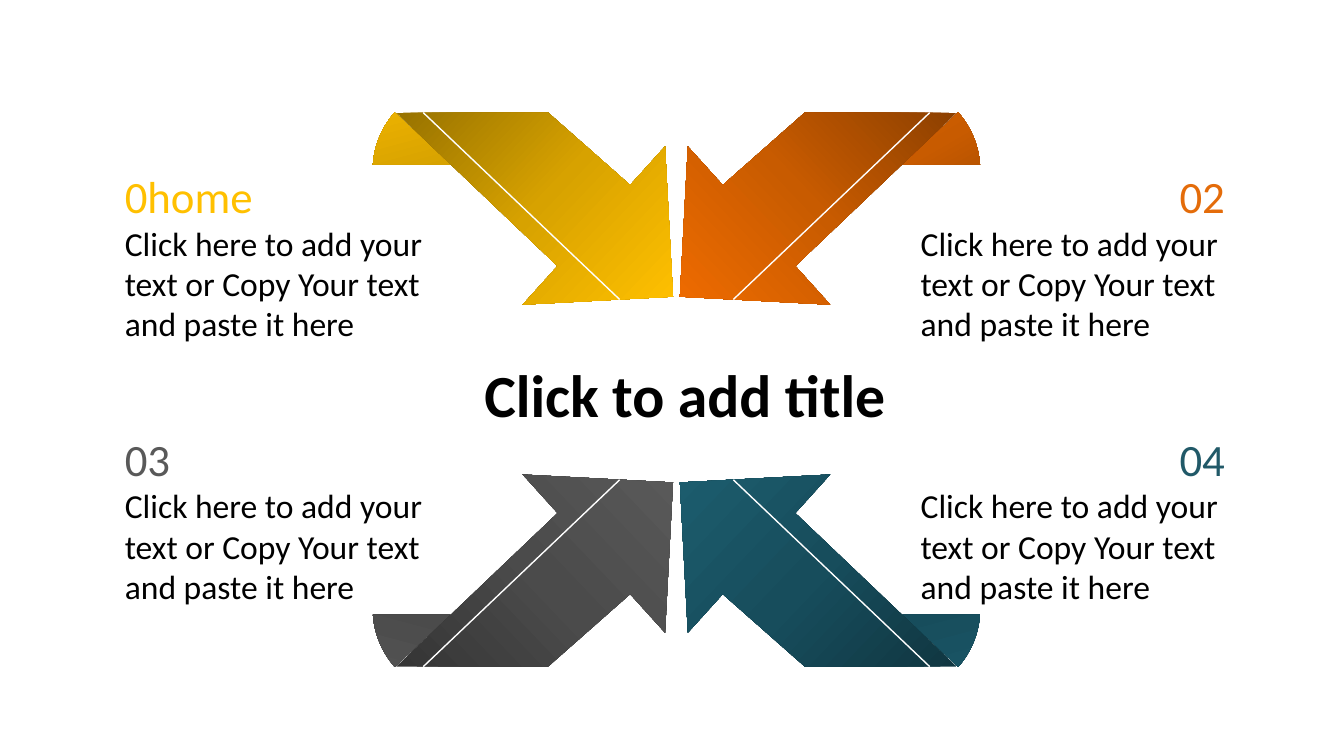
from copy import deepcopy
from math import atan2, degrees

from lxml.etree import SubElement
from pptx import Presentation
from pptx.dml.color import RGBColor
from pptx.enum.shapes import MSO_CONNECTOR as Connector, MSO_SHAPE as Shape
from pptx.enum.text import MSO_ANCHOR as Anchor, PP_ALIGN as Align
from pptx.oxml.ns import qn
from pptx.util import Cm, Pt

FONT = "Calibri"
BLACK = RGBColor(0x00, 0x00, 0x00)
WHITE = RGBColor(0xFF, 0xFF, 0xFF)
YELLOW = RGBColor(0xFF, 0xC0, 0x00)
ORANGE = RGBColor(0xE4, 0x6C, 0x0A)
GREY = RGBColor(0x59, 0x59, 0x59)
TEAL = RGBColor(0x21, 0x59, 0x68)
YELLOW_SHADES = RGBColor(0x97, 0x72, 0x00), RGBColor(0xD7, 0xA2, 0x00), YELLOW
ORANGE_SHADES = RGBColor(0x8D, 0x40, 0x00), RGBColor(0xC8, 0x5B, 0x00), RGBColor(0xEE, 0x6B, 0x00)
GREY_SHADES = RGBColor(0x35, 0x35, 0x35), RGBColor(0x4B, 0x4B, 0x4B), GREY
TEAL_SHADES = RGBColor(0x10, 0x36, 0x41), RGBColor(0x17, 0x4D, 0x5C), RGBColor(0x1C, 0x5C, 0x6D)

ARROW_WIDTH, ARROW_HEIGHT = 5.23, 3.63
ARROW_POINTS = [(0, 0), (2.87, 0), (4.42, 1.37), (5.08, 0.64), (5.23, 3.48), (2.39, 3.63), (3.05, 2.9)]
CREASE = [(0.51, 0), (4.22, 3.53)]
CURL_CENTER = 1.02, 0.98
CURL_WIDTH, CURL_HEIGHT = 3.1, 2.87
CURL_ANGLES = 143.91, 169.9
BODY_LINES = ["Click here to add your", "text or Copy Your text", "and paste it here"]

ARROWS = [
    (7.49, 2.13, False, False, YELLOW_SHADES, 45),
    (12.85, 2.13, True, False, ORANGE_SHADES, 0),
    (7.49, 8.97, False, True, GREY_SHADES, 45),
    (12.85, 8.97, True, True, TEAL_SHADES, 45),
]
CAPTIONS = [
    (2.11, 3.07, "0home", YELLOW, Align.LEFT),
    (17.15, 3.07, "02", ORANGE, Align.RIGHT),
    (2.11, 8.03, "03", GREY, Align.LEFT),
    (17.15, 8.03, "04", TEAL, Align.RIGHT),
]


def shade(shape, colors, angle):
    """Fill a shape with an even gradient and remove its outline and shadow."""
    shape.shadow.inherit = False
    shape.line.fill.background()
    shape.fill.gradient()
    stop_list = shape.element.spPr.find(".//" + qn("a:gsLst"))
    stop_list.append(deepcopy(stop_list[0]))
    for index, (stop, color) in enumerate(zip(shape.fill.gradient_stops, colors)):
        stop.color.rgb = color
        stop.position = index / 2
    shape.fill.gradient_angle = angle


def add_arrow(page, left, top, flip_x, flip_y, colors, curl_angle):
    """Draw one folded arrow in its box, mirrored as asked."""

    def place(point):
        """Turn a point of the upper left arrow into a slide position."""
        x, y = point
        return (
            Cm(left + (ARROW_WIDTH - x if flip_x else x)),
            Cm(top + (ARROW_HEIGHT - y if flip_y else y)),
        )

    center_x, center_y = place(CURL_CENTER)
    width, height = Cm(CURL_WIDTH), Cm(CURL_HEIGHT)
    curl = page.shapes.add_shape(Shape.PIE, center_x - width // 2, center_y - height // 2, width, height)
    curl.adjustments[0], curl.adjustments[1] = CURL_ANGLES
    curl.rotation = 300 if flip_x == flip_y else 60
    for name, flipped in (("flipH", flip_x), ("flipV", flip_y)):
        if flipped:
            curl.element.spPr.xfrm.set(name, "1")
    shade(curl, colors, curl_angle)

    start, *corners = [place(point) for point in ARROW_POINTS]
    builder = page.shapes.build_freeform(*start)
    builder.add_line_segments(corners, close=True)
    (tail_x, tail_y), (tip_x, tip_y) = [place(point) for point in CREASE]
    direction = degrees(atan2(tail_y - tip_y, tip_x - tail_x)) % 360
    shade(builder.convert_to_shape(), colors, round(direction, 1))

    crease = page.shapes.add_connector(Connector.STRAIGHT, tail_x, tail_y, tip_x, tip_y)
    crease.line.color.rgb = WHITE
    crease.line.width = Pt(0.75)
    SubElement(crease.element.spPr, qn("a:effectLst"))


def add_span(para, text, size, color, bold=False):
    """Add one formatted run to a paragraph."""
    span = para.add_run()
    span.text = text
    span.font.name = FONT
    span.font.size = Pt(size)
    span.font.bold = bold
    span.font.color.rgb = color


def add_caption(page, left, top, number, color, align):
    """Place a coloured number above its three lines of text."""
    frame = page.shapes.add_textbox(Cm(left), Cm(top), Cm(6.25), Cm(3.58)).text_frame
    frame.word_wrap = True
    heading = frame.paragraphs[0]
    heading.alignment = align
    add_span(heading, number, 24, color)
    for line in BODY_LINES:
        add_span(frame.add_paragraph(), line, 18, BLACK)


def add_title(page, left, top, width, height):
    """Move the title placeholder to the middle and write the title."""
    box = page.shapes.title
    box.left, box.top, box.width, box.height = Cm(left), Cm(top), Cm(width), Cm(height)
    frame = box.text_frame
    frame.word_wrap = False
    frame.vertical_anchor = Anchor.MIDDLE
    para = frame.paragraphs[0]
    para.alignment = Align.CENTER
    add_span(para, "Click to add title", 32, BLACK, bold=True)


def main():
    """Build the slide and save the deck."""
    deck = Presentation()
    deck.slide_width, deck.slide_height = Cm(25.4), Cm(14.29)
    page = deck.slides.add_slide(deck.slide_layouts[5])
    for arrow in ARROWS:
        add_arrow(page, *arrow)
    for caption in CAPTIONS:
        add_caption(page, *caption)
    add_title(page, 8.86, 6.63, 8.18, 1.63)
    deck.save("out.pptx")


if __name__ == "__main__":
    main()
